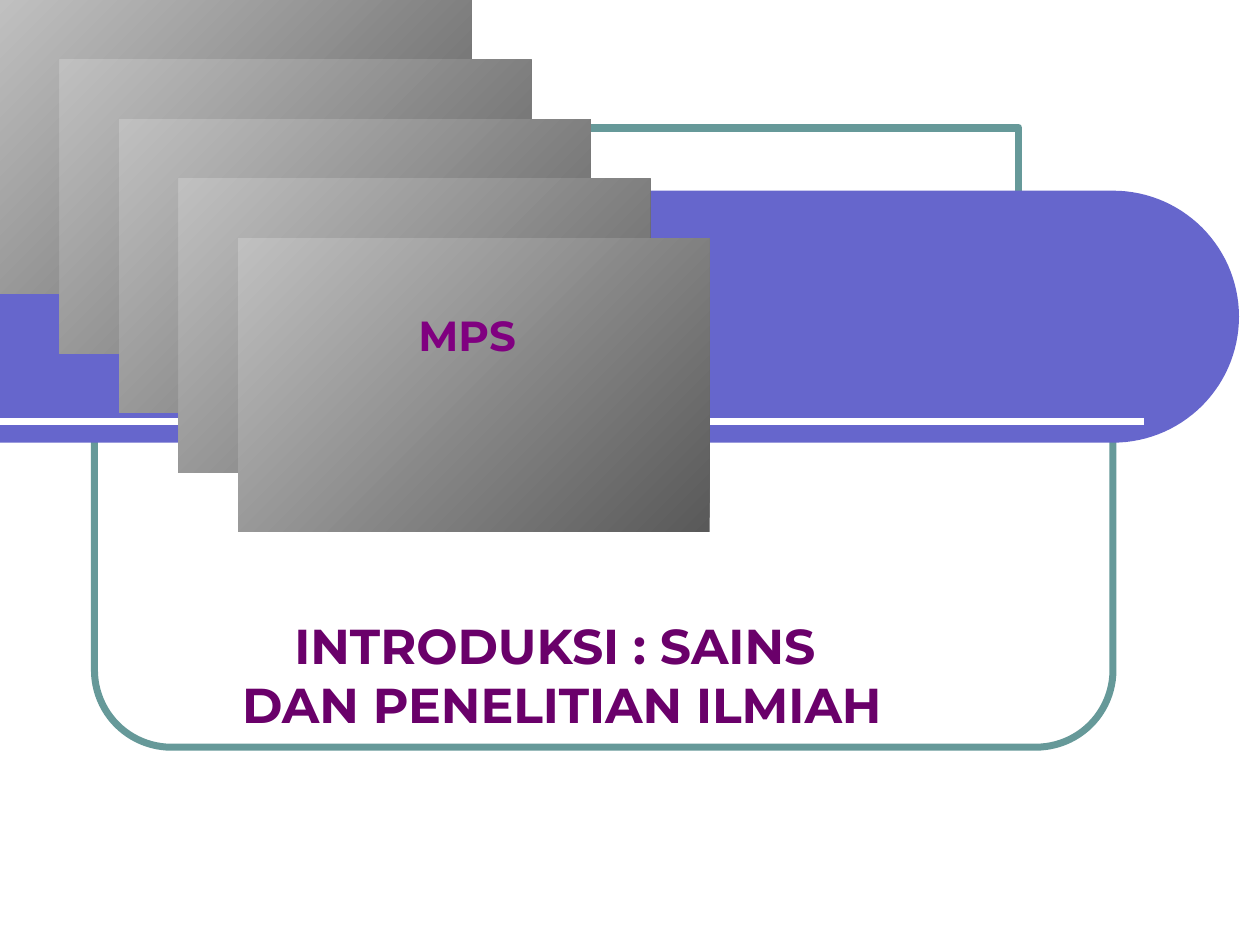
from math import cos, pi, sin

from lxml.etree import SubElement
from pptx import Presentation
from pptx.dml.color import RGBColor
from pptx.enum.shapes import MSO_CONNECTOR as Link, MSO_SHAPE as Shape
from pptx.enum.text import MSO_ANCHOR as Anchor, MSO_AUTO_SIZE as Fit, PP_ALIGN as Align
from pptx.oxml.ns import qn
from pptx.util import Pt

WHITE = RGBColor(0xFF, 0xFF, 0xFF)
TEAL = RGBColor(0x66, 0x99, 0x99)
BLUE = RGBColor(0x66, 0x66, 0xCC)
DARK = RGBColor(0x59, 0x59, 0x59)
LIGHT = RGBColor(0xC0, 0xC0, 0xC0)
PURPLE = RGBColor(0x80, 0x00, 0x80)
PLUM = RGBColor(0x6A, 0x00, 0x6A)


class Page:
    font = "Montserrat"

    def __init__(self, slide):
        self.slide = slide
        self.shapes = slide.shapes

    def box(self, kind, x, y, w, h):
        box = self.shapes.add_shape(kind, Pt(x), Pt(y), Pt(w), Pt(h))
        box.shadow.inherit = False
        return box

    def frame(self, kind, x, y, w, h, weight, fill=None):
        box = self.box(kind, x, y, w, h)
        if fill is None:
            box.fill.background()
        else:
            box.fill.solid()
            box.fill.fore_color.rgb = fill
        box.line.color.rgb = TEAL
        box.line.width = Pt(weight)

    def band(self, right, mid, radius, steps=60):
        """Draw a bar from the left edge that ends in a half circle."""
        arc = [(right + radius * cos(a), mid + radius * sin(a))
               for a in (pi * (i / steps - 0.5) for i in range(steps + 1))]
        spots = [(Pt(x), Pt(y)) for x, y in arc + [(0, mid + radius)]]
        pen = self.shapes.build_freeform(0, Pt(mid - radius))
        pen.add_line_segments(spots, close=True)
        bar = pen.convert_to_shape()
        bar.shadow.inherit = False
        bar.fill.solid()
        bar.fill.fore_color.rgb = BLUE
        bar.line.fill.background()

    def rule(self, y, right):
        line = self.shapes.add_connector(Link.STRAIGHT, 0, Pt(y), Pt(right), Pt(y))
        line.line.color.rgb = WHITE
        line.line.width = Pt(4)
        SubElement(line._element.spPr, qn("a:effectLst"))

    def card(self, x, y, w, h):
        card = self.box(Shape.RECTANGLE, x, y, w, h)
        card.line.fill.background()
        card.fill.gradient()
        card.fill.gradient_angle = 135
        for stop, color, spot in zip(card.fill.gradient_stops, (DARK, LIGHT), (0, 1)):
            stop.color.rgb = color
            stop.position = spot

    def text(self, holder, lines, x, y, w, h, size, color, wrap=True):
        """Fill a placeholder and bring it to the front."""
        holder.left, holder.top, holder.width, holder.height = Pt(x), Pt(y), Pt(w), Pt(h)
        frame = holder.text_frame
        frame.text = "\n".join(lines)
        frame.auto_size = Fit.NONE
        frame.word_wrap = wrap
        frame.vertical_anchor = Anchor.TOP
        for para in frame.paragraphs:
            para.alignment = Align.CENTER
            para.space_before = Pt(0)
            font = para.font
            font.name, font.size, font.bold = self.font, Pt(size), True
            font.color.rgb = color
        self.shapes._spTree.append(holder._element)


def main():
    deck = Presentation()
    deck.slide_width, deck.slide_height = Pt(720), Pt(540)
    page = Page(deck.slides.add_slide(deck.slide_layouts[0]))
    title, body = page.slide.placeholders

    page.frame(Shape.ROUNDED_RECTANGLE, 54, 163, 582, 264, 4)
    page.frame(Shape.RECTANGLE, 18, 73, 564, 78, 4.5, WHITE)
    page.band(636, 181, 72)
    page.rule(241, 654)
    for i in range(5):
        page.card(34 * i, 34 * i, 269.5, 168)

    page.text(title, ["MPS"], 153.5, 173.5, 227, 102, 24, PURPLE, wrap=False)
    page.text(body, ["INTRODUKSI : SAINS ", "DAN PENELITIAN ILMIAH"],
              24, 348, 594, 108, 28, PLUM)
    deck.save("out.pptx")


if __name__ == "__main__":
    main()
